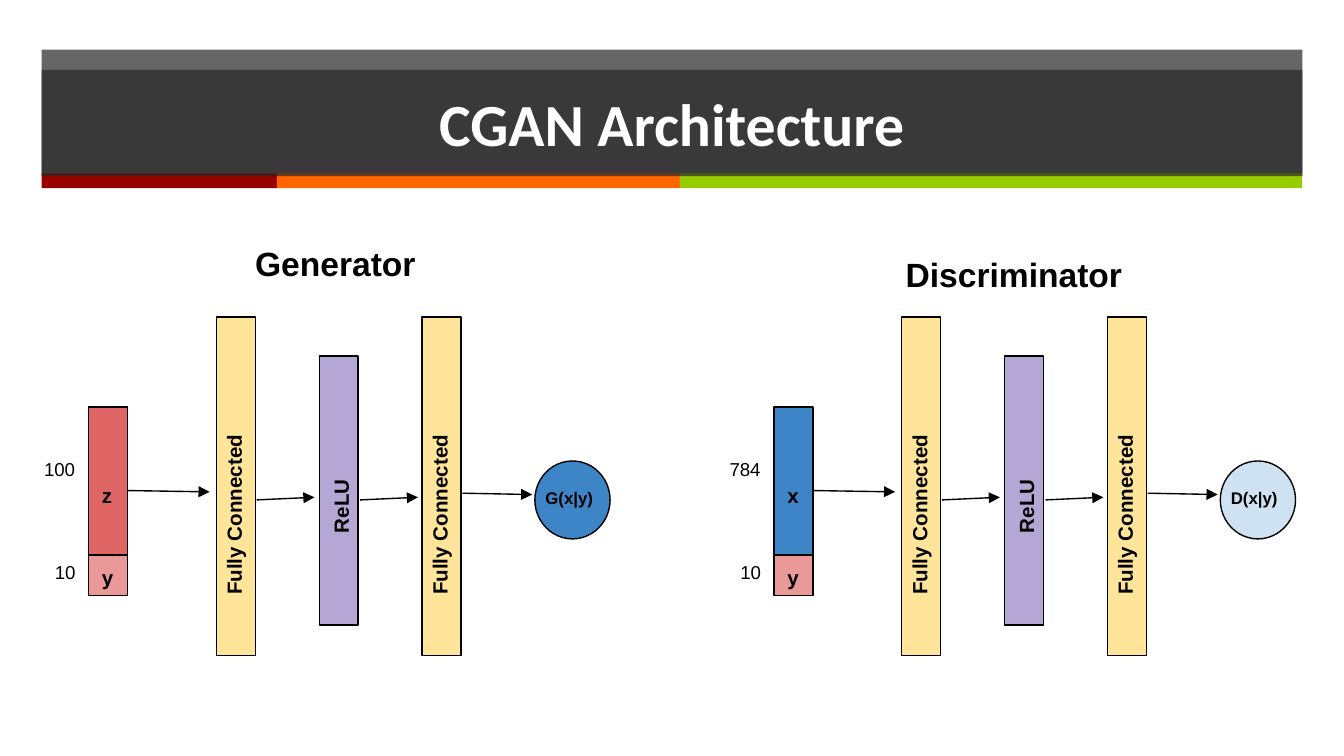
from lxml import etree
from pptx import Presentation
from pptx.dml.color import RGBColor
from pptx.enum.shapes import MSO_CONNECTOR, MSO_SHAPE
from pptx.enum.text import MSO_ANCHOR, PP_ALIGN
from pptx.oxml.ns import qn
from pptx.util import Inches, Pt

COLORS = {
    "black": "000000", "white": "FFFFFF", "band": "262626",
    "dark_red": "990000", "orange": "FF6600", "green": "99CC00",
    "red": "E06666", "pink": "EA9999", "blue": "3D85C6",
    "pale_blue": "CFE2F3", "yellow": "FFE599", "purple": "B4A7D6",
}
SLIDE_W = 10
SLIDE_H = SLIDE_W * 9 / 16
BAR_W = 0.29
BAR_GAP = 0.765
# name, fill, top, height, label box width and height, label shift
FULL = ("Fully Connected", "yellow", 0, 2.52, 1.69, 0.36, -0.02)
RELU = ("ReLU", "purple", 0.29, 2, 0.71, 0.28, -0.03)
ARROWS = [
    (0.72, 1.29, 1.33, 1.3),
    (1.68, 1.36, 2.11, 1.34),
    (2.45, 1.36, 2.88, 1.34),
    (3.21, 1.31, 3.73, 1.32),
]


def rgb(name):
    return RGBColor.from_string(COLORS[name])


def set_fill(sp, color, alpha=None):
    sp.fill.solid()
    sp.fill.fore_color.rgb = rgb(color)
    if alpha is not None:
        srgb = sp.fill._xPr.find(".//" + qn("a:srgbClr"))
        etree.SubElement(srgb, qn("a:alpha"), val=str(alpha * 1000))


def add_box(s, box, color, outlined=True, kind=MSO_SHAPE.RECTANGLE, alpha=None):
    sp = s.shapes.add_shape(kind, *map(Inches, box))
    sp.shadow.inherit = False
    set_fill(sp, color, alpha)
    if outlined:
        sp.line.color.rgb = rgb("black")
        sp.line.width = Pt(0.75)
    else:
        sp.line.fill.background()


def add_label(s, box, text, size=11, bold=True, rotation=0):
    tb = s.shapes.add_textbox(*map(Inches, box))
    tb.rotation = rotation
    tf = tb.text_frame
    tf.word_wrap = True
    tf.margin_left = tf.margin_right = Inches(0.1)
    tf.margin_top = tf.margin_bottom = Inches(0.1)
    tf.text = text
    font = tf.paragraphs[0].runs[0].font
    font.name, font.size, font.bold = "Arial", Pt(size), bold
    font.color.rgb = rgb("black")


def add_arrow(s, x1, y1, x2, y2):
    line = s.shapes.add_connector(MSO_CONNECTOR.STRAIGHT, *map(Inches, (x1, y1, x2, y2)))
    line.line.color.rgb = rgb("black")
    line.line.width = Pt(0.75)
    etree.SubElement(line.line._get_or_add_ln(), qn("a:tailEnd"), type="triangle")
    etree.SubElement(line._element.spPr, qn("a:effectLst"))


def add_header(s, left, top, width):
    add_box(s, (left, top, width, 0.93), "band", outlined=False, alpha=70)
    x = left
    for color, w in (("dark_red", 1.75), ("orange", 3), ("green", width - 4.75)):
        add_box(s, (x, top + 0.92, w, 0.11), color, outlined=False)
        x += w

    title = s.shapes.title
    title.left, title.top = Inches(left), Inches(top + 0.15)
    title.width, title.height = Inches(width), Inches(0.79)
    set_fill(title, "band", alpha=70)
    # Keeps the title in front of the bands
    s.shapes._spTree.append(title._element)
    tf = title.text_frame
    tf.text = "CGAN Architecture"
    tf.vertical_anchor = MSO_ANCHOR.MIDDLE
    p = tf.paragraphs[0]
    p.alignment = PP_ALIGN.CENTER
    font = p.runs[0].font
    font.name, font.size, font.bold = "Calibri", Pt(32), True
    font.color.rgb = rgb("white")


def add_network(s, left, top, source, count, source_color, output, output_color):
    """Draw input column, layers and output node from the given top-left corner."""
    def at(x, y, w, h):
        return left + x, top + y, w, h

    add_label(s, at(0, 1.03, 0.5, 0.1), count, 10, bold=False)
    add_label(s, at(0.08, 1.8, 0.5, 0.1), "10", 10, bold=False)
    add_box(s, at(0.43, 0.67, BAR_W, 1.17), source_color)
    add_box(s, at(0.43, 1.77, BAR_W, 0.3), "pink")
    add_label(s, at(0.43, 1.14, BAR_W, 0.3), source)
    add_label(s, at(0.43, 1.75, BAR_W, 0.2), "y")

    for i, (name, color, y, h, label_w, label_h, shift) in enumerate((FULL, RELU, FULL)):
        x = 1.38 + i * BAR_GAP
        add_box(s, at(x, y, BAR_W, h), color)
        label_x = x + (BAR_W - label_w) / 2 + shift
        label_y = y + (h - label_h) / 2 + 0.06
        add_label(s, at(label_x, label_y, label_w, label_h), name, rotation=270)

    add_box(s, at(3.75, 1.07, 0.56, 0.58), output_color, kind=MSO_SHAPE.OVAL)
    add_label(s, at(3.73, 1.19, 0.66, 0.3), output, 9)
    for x1, y1, x2, y2 in ARROWS:
        add_arrow(s, left + x1, top + y1, left + x2, top + y2)


def main():
    prs = Presentation()
    prs.slide_width, prs.slide_height = Inches(SLIDE_W), Inches(SLIDE_H)
    s = prs.slides.add_slide(prs.slide_layouts[5])
    add_header(s, 0.31, 0.37, 9.38)
    add_label(s, (1.8, 1.71, 1.62, 0.4), "Generator", 18)
    add_network(s, 0.23, 2.36, "z", "100", "red", "G(x|y)", "blue")
    add_label(s, (6.64, 1.79, 2.03, 0.4), "Discriminator", 18)
    add_network(s, 5.33, 2.36, "x", "784", "blue", "D(x|y)", "pale_blue")
    prs.save("out.pptx")


if __name__ == "__main__":
    main()
